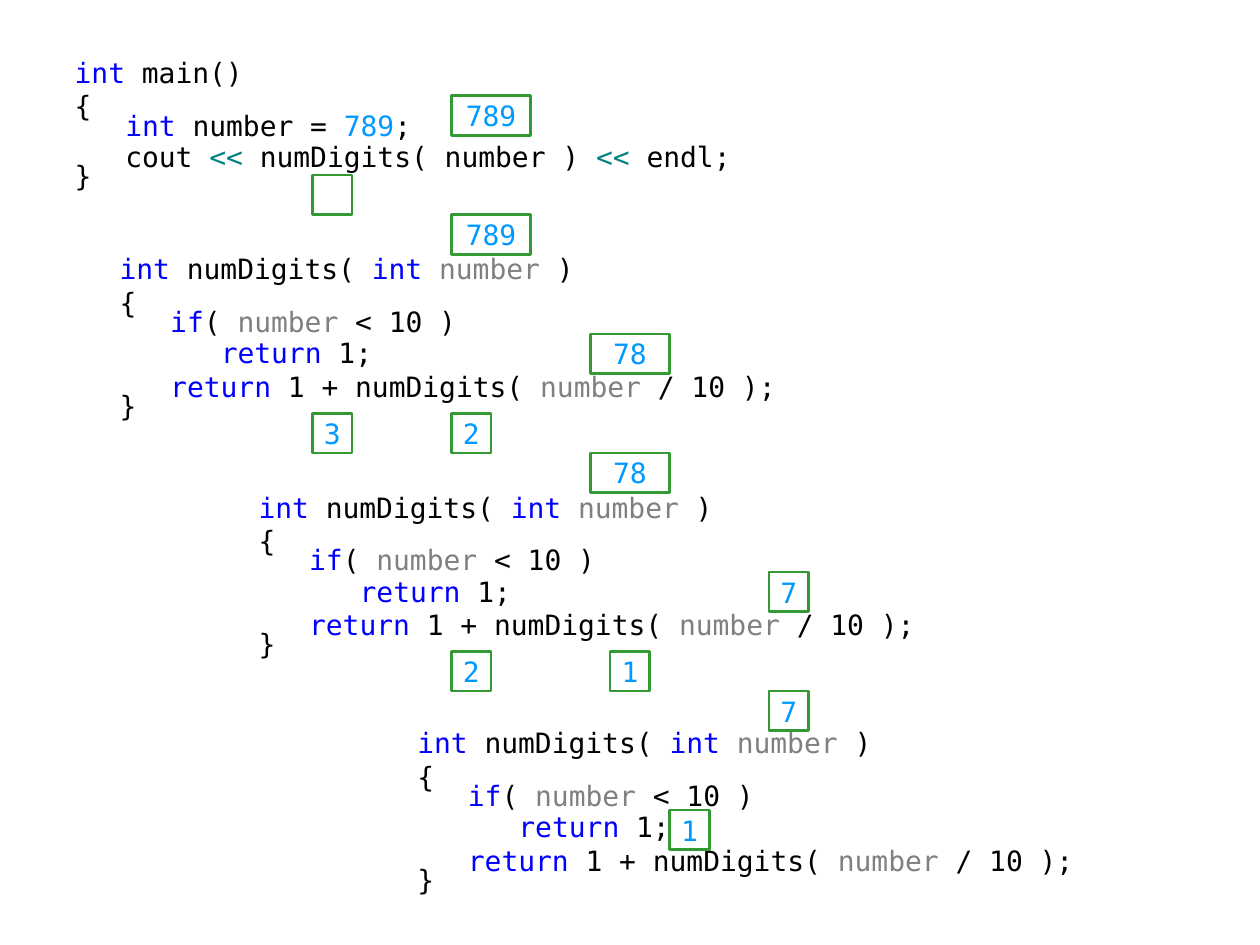
from pptx import Presentation
from pptx.dml.color import RGBColor
from pptx.enum.shapes import MSO_SHAPE
from pptx.enum.text import MSO_ANCHOR as Anchor, PP_ALIGN as Align
from pptx.util import Pt

FONT = "DejaVu Sans Mono"
SIZE = 16
INDENT = 28.9
BLACK, KEYWORD, VALUE = "000000", "0000FF", "0099FF"
PARAMETER, OPERATOR, OUTLINE = "808080", "008080", "339933"

# Each code line: indent level, line spacing, coloured pieces
MAIN_CODE = [
    (0, 1, [("int", KEYWORD), (" main()", BLACK)]),
    (0, 1, [("{", BLACK)]),
    (1, 0.5, [("int", KEYWORD), (" number = ", BLACK), ("789", VALUE), (";", BLACK)]),
    (1, 1, [("cout ", BLACK), ("<< ", OPERATOR), ("numDigits( number ) ", BLACK),
            ("<<", OPERATOR), (" endl;", BLACK)]),
    (0, 0.5, [("}", BLACK)]),
]
FUNCTION_CODE = [
    (0, 1, [("int ", KEYWORD), ("numDigits( ", BLACK), ("int ", KEYWORD),
            ("number", PARAMETER), (" )", BLACK)]),
    (0, 1, [("{", BLACK)]),
    (1, 0.5, [("if", KEYWORD), ("( ", BLACK), ("number", PARAMETER), (" < 10 )", BLACK)]),
    (2, 1, [("return", KEYWORD), (" 1;", BLACK)]),
    (1, 1, [("return", KEYWORD), (" 1 + numDigits( ", BLACK),
            ("number", PARAMETER), (" / 10 );", BLACK)]),
    (0, 0.5, [("}", BLACK)]),
]
# Each call: column offset, top inset
CALLS = [(0, 10.08), (3.5, 10.08), (7.5, 8.64)]
# Each value box: text, column, row, width in cells
VALUE_BOXES = [
    ("789", 3.5, 0, 2), ("", 0, 2, 1),
    ("789", 3.5, 3, 2), ("78", 7, 6, 2), ("3", 0, 8, 1), ("2", 3.5, 8, 1),
    ("78", 7, 9, 2), ("7", 11.5, 12, 1), ("2", 3.5, 14, 1), ("1", 7.5, 14, 1),
    ("7", 11.5, 15, 1), ("1", 9, 18, 1),
]

CELL = 22.68
GRID_LEFT, GRID_TOP = 178.56, 54.72
CODE_WIDTH = 17.5 * CELL
CALL_LEFT, CALL_TOP, CALL_ROWS = 54, 133.92, 6


def rgb(color):
    return RGBColor.from_string(color)


def write_text(shape, lines, insets, align=Align.LEFT, anchor=Anchor.TOP, wrap=True):
    frame = shape.text_frame
    frame.word_wrap = wrap
    frame.vertical_anchor = anchor
    (frame.margin_left, frame.margin_top,
     frame.margin_right, frame.margin_bottom) = map(Pt, insets)
    for number, (level, spacing, pieces) in enumerate(lines):
        line = frame.add_paragraph() if number else frame.paragraphs[0]
        line.alignment = align
        line.line_spacing = float(spacing)
        if level:
            properties = line._p.get_or_add_pPr()
            properties.set("marL", str(Pt(level * INDENT)))
            properties.set("indent", "0")
        for text, color in pieces:
            run = line.add_run()
            run.text = text
            run.font.name = FONT
            run.font.size = Pt(SIZE)
            run.font.color.rgb = rgb(color)


def add_code(slide, lines, left, top, height, insets):
    code = slide.shapes.add_textbox(Pt(left), Pt(top), Pt(CODE_WIDTH), Pt(height))
    write_text(code, lines, insets)


def add_value_box(slide, text, column, row, cells):
    box = slide.shapes.add_shape(
        MSO_SHAPE.RECTANGLE, Pt(GRID_LEFT + column * CELL), Pt(GRID_TOP + row * CELL),
        Pt(cells * CELL), Pt(CELL))
    box.shadow.inherit = False
    box.fill.background()
    box.line.color.rgb = rgb(OUTLINE)
    box.line.width = Pt(1.5)
    if text:
        write_text(box, [(0, 1, [(text, VALUE)])], (7.2, 0, 7.2, 0),
                   align=Align.CENTER, anchor=Anchor.MIDDLE, wrap=False)


def main():
    deck = Presentation()
    deck.slide_width, deck.slide_height = Pt(720), Pt(540)
    slide = deck.slides.add_slide(deck.slide_layouts[6])
    add_code(slide, MAIN_CODE, 31.2, 31.7, 3.5 * CELL, (11.5, 0, 7.2, 7.2))
    for depth, (column, inset) in enumerate(CALLS):
        add_code(slide, FUNCTION_CODE, CALL_LEFT + column * CELL,
                 CALL_TOP + depth * CALL_ROWS * CELL, 5 * CELL, (14.4, inset, 2.9, 7.2))
    for box in VALUE_BOXES:
        add_value_box(slide, *box)
    deck.save("out.pptx")


if __name__ == "__main__":
    main()
